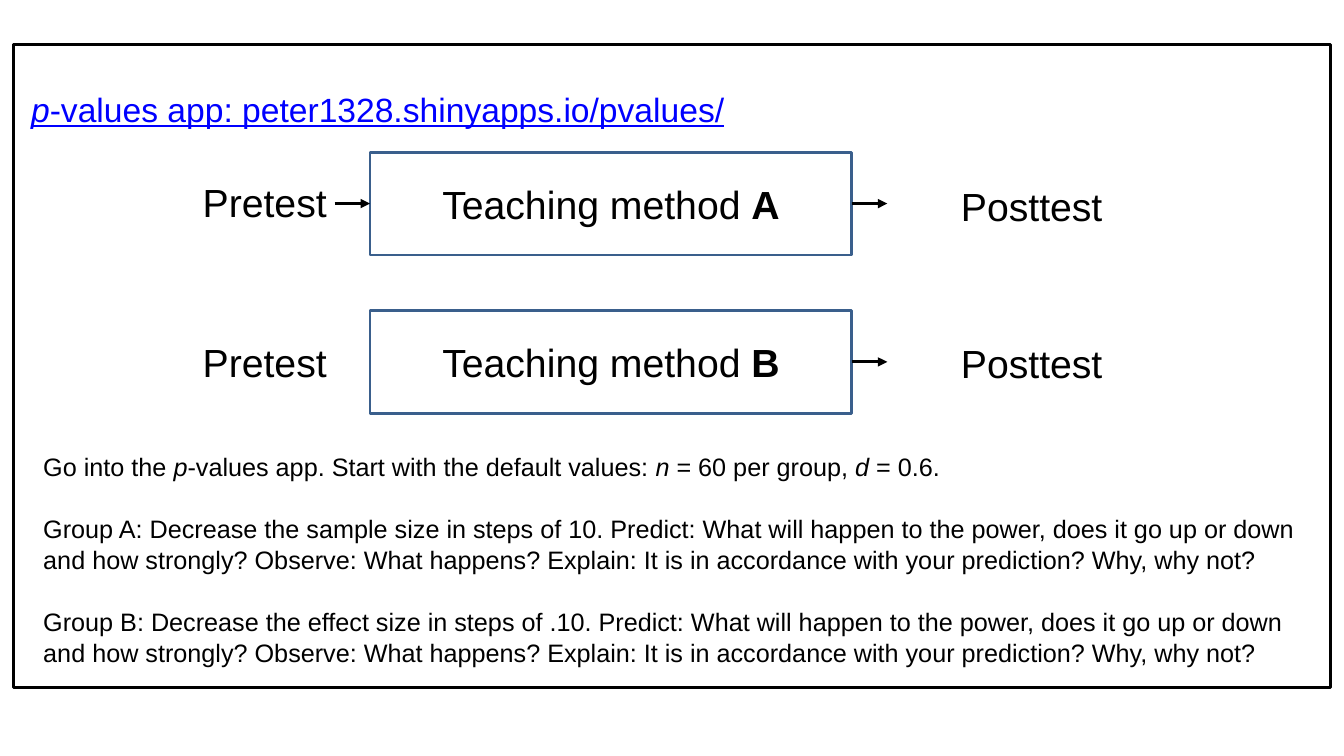
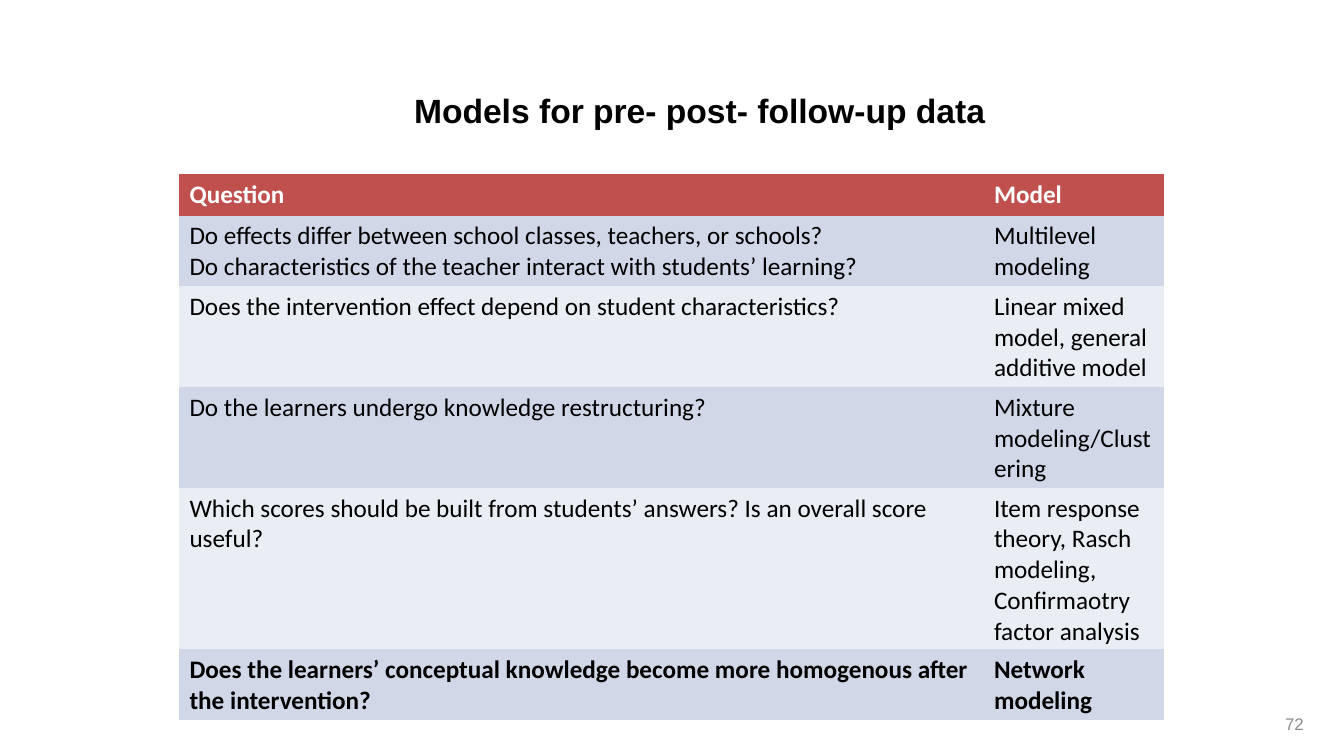
import lxml.etree
import pptx
import pptx.dml.color
import pptx.enum.shapes
import pptx.enum.text
import pptx.oxml.ns
import pptx.util

COLORS = {
    "text": "000000",
    "link": "0000FF",
    "box": "3A5F8C",
    "number": "8C8C8C",
    "header_text": "FFFFFF",
    "header": "C0504D",
    "odd": "D0D8E8",
    "even": "E9EDF4",
}
FONT, TABLE_FONT = "Arial", "Calibri"
NO_TABLE_STYLE = "{2D5ABB26-0587-4C30-8999-92F81FD0307C}"
ALIGN = pptx.enum.text.PP_ALIGN
ANCHOR = pptx.enum.text.MSO_ANCHOR


def rgb(name):
    return pptx.dml.color.RGBColor.from_string(COLORS[name])


class Deck:
    """Style and current slide; lengths are percent of the slide's width and height."""

    def __init__(self, width, height):
        self.prs = pptx.Presentation()
        self.prs.slide_width = pptx.util.Inches(width)
        self.prs.slide_height = pptx.util.Inches(height)
        self.slide = None

    def add_slide(self):
        self.slide = self.prs.slides.add_slide(self.prs.slide_layouts[6])

    def x(self, share):
        return round(self.prs.slide_width * share / 100)

    def y(self, share):
        return round(self.prs.slide_height * share / 100)

    def area(self, left, top, width, height):
        return self.x(left), self.y(top), self.x(width), self.y(height)

    def set_text(self, tf, paragraphs, size, color="text", font=FONT, bold=False,
                 underline=None, align=ALIGN.LEFT, gap=0, line_spacing=None):
        """Fill tf; a paragraph is a string or a list of strings and (text, "b" or "i") pairs."""
        for i, runs in enumerate(paragraphs):
            p = tf.add_paragraph() if i else tf.paragraphs[0]
            p.alignment = align
            if line_spacing:
                p.line_spacing = line_spacing
            if i and gap:
                p.space_before = pptx.util.Pt(gap)
            p.font.name, p.font.size = font, pptx.util.Pt(size)
            p.font.bold, p.font.underline = bold, underline
            p.font.color.rgb = rgb(color)
            for run in [runs] if isinstance(runs, str) else runs:
                text, mark = (run, "") if isinstance(run, str) else run
                r = p.add_run()
                r.text = text
                if mark == "b":
                    r.font.bold = True
                elif mark == "i":
                    r.font.italic = True

    def text(self, area, paragraphs, size, anchor=ANCHOR.TOP, wrap=True, **style):
        tf = self.slide.shapes.add_textbox(*self.area(*area)).text_frame
        tf.word_wrap = wrap
        tf.vertical_anchor = anchor
        self.set_text(tf, paragraphs, size, **style)

    def outline(self, area, color):
        sp = self.slide.shapes.add_shape(
            pptx.enum.shapes.MSO_SHAPE.RECTANGLE, *self.area(*area))
        sp.shadow.inherit = False
        sp.fill.background()
        sp.line.color.rgb = rgb(color)
        sp.line.width = pptx.util.Pt(2)
        return sp

    def box(self, area, runs):
        sp = self.outline(area, "box")
        sp.text_frame.vertical_anchor = ANCHOR.MIDDLE
        self.set_text(sp.text_frame, [runs], 28, align=ALIGN.CENTER)
        return sp

    def arrow(self, x1, x2, y, begin=None, end=None):
        """Draw a level arrow, joined to the right side of begin or the left side of end."""
        line = self.slide.shapes.add_connector(
            pptx.enum.shapes.MSO_CONNECTOR.STRAIGHT,
            self.x(x1), self.y(y), self.x(x2), self.y(y))
        if begin is not None:
            line.begin_connect(begin, 3)
        if end is not None:
            line.end_connect(end, 1)
        line.line.color.rgb = rgb("text")
        line.line.width = pptx.util.Pt(2.25)
        qn = pptx.oxml.ns.qn
        properties = line._element.spPr
        lxml.etree.SubElement(properties.find(qn("a:ln")), qn("a:tailEnd"), type="triangle")
        lxml.etree.SubElement(properties, qn("a:effectLst"))

    def table(self, left, top, columns, row_height, rows):
        """Draw rows of cells, each a list of paragraphs; first row is the header, last is bold."""
        table = self.slide.shapes.add_table(
            len(rows), len(columns),
            *self.area(left, top, sum(columns), row_height * len(rows))).table
        table._tbl.tblPr.find(pptx.oxml.ns.qn("a:tableStyleId")).text = NO_TABLE_STYLE
        table.first_row = table.horz_banding = False
        for column, width in zip(table.columns, columns):
            column.width = self.x(width)
        for i, row in enumerate(rows):
            fill = "header" if i == 0 else "odd" if i % 2 else "even"
            for j, paragraphs in enumerate(row):
                cell = table.cell(i, j)
                cell.fill.solid()
                cell.fill.fore_color.rgb = rgb(fill)
                self.set_text(cell.text_frame, paragraphs, 18, font=TABLE_FONT,
                              color="text" if i else "header_text",
                              bold=i in (0, len(rows) - 1))


def build_app_slide(deck):
    deck.add_slide()
    box_left, box_width, box_height = 27.53, 35.86, 13.6
    box_right = box_left + box_width
    arrow_length = 2.63
    label_width, label_height = 21.53, 7.6
    methods = [  # name, box top, pretest top, posttest top, arrow from pretest
        ("A", 20.13, 22.93, 23.47, True),
        ("B", 41.07, 44.13, 44.27, False),
    ]
    for name, top, pretest_top, posttest_top, has_arrow in methods:
        sp = deck.box((box_left, top, box_width, box_height),
                      ["Teaching method ", (name, "b")])
        for label, left, label_top in (("Pretest", 8.93, pretest_top),
                                       ("Posttest", 66, posttest_top)):
            deck.text((left, label_top, label_width, label_height), [label], 28,
                      align=ALIGN.CENTER)
        middle = top + box_height / 2
        if has_arrow:
            deck.arrow(box_left - arrow_length, box_left, middle, end=sp)
        deck.arrow(box_right, box_right + arrow_length, middle, begin=sp)

    deck.outline((1, 5.87, 98, 85.07), "text")
    deck.text((1.58, 11.07, 53.64, 6.67),
              [[("p", "i"), "-values app: peter1328.shinyapps.io/pvalues/"]], 24,
              color="link", underline=True, wrap=False)
    task = ("Group {}: Decrease the {} size in steps of {}. Predict: What will happen to the "
            "power, does it go up or down and how strongly? Observe: What happens? Explain: "
            "It is in accordance with your prediction? Why, why not?")
    deck.text((2.48, 58.93, 95.12, 33.6), [
        ["Go into the ", ("p", "i"), "-values app. Start with the default values: ",
         ("n", "i"), " = 60 per group, ", ("d", "i"), " = 0.6."],
        task.format("A", "sample", "10"),
        task.format("B", "effect", ".10"),
    ], 18, gap=21.5, line_spacing=1.04)


def build_models_slide(deck):
    deck.add_slide()
    deck.text((74.42, 93.07, 23.33, 5.33), ["72"], 12, anchor=ANCHOR.MIDDLE,
              color="number", align=ALIGN.RIGHT)
    deck.text((27.53, 11.2, 49.06, 6.67), ["Models for pre- post- follow-up data"], 24,
              bold=True, align=ALIGN.CENTER)
    deck.table(13.35, 23.07, [59.86, 13.43], 5.47, [
        (["Question"], ["Model"]),
        (["Do effects differ between school classes, teachers, or schools?",
          "Do characteristics of the teacher interact with students’ learning?"],
         ["Multilevel modeling"]),
        (["Does the intervention effect depend on student characteristics?"],
         ["Linear mixed model, general additive model"]),
        (["Do the learners undergo knowledge restructuring?"],
         ["Mixture modeling/Clustering"]),
        (["Which scores should be built from students’ answers? Is an overall score useful?"],
         ["Item response theory, Rasch modeling, Confirmaotry factor analysis"]),
        (["Does the learners’ conceptual knowledge become more homogenous after "
          "the intervention?"],
         ["Network modeling"]),
    ])


def main():
    deck = Deck(13.33, 7.5)
    build_app_slide(deck)
    build_models_slide(deck)
    deck.prs.save("out.pptx")


if __name__ == "__main__":
    main()
